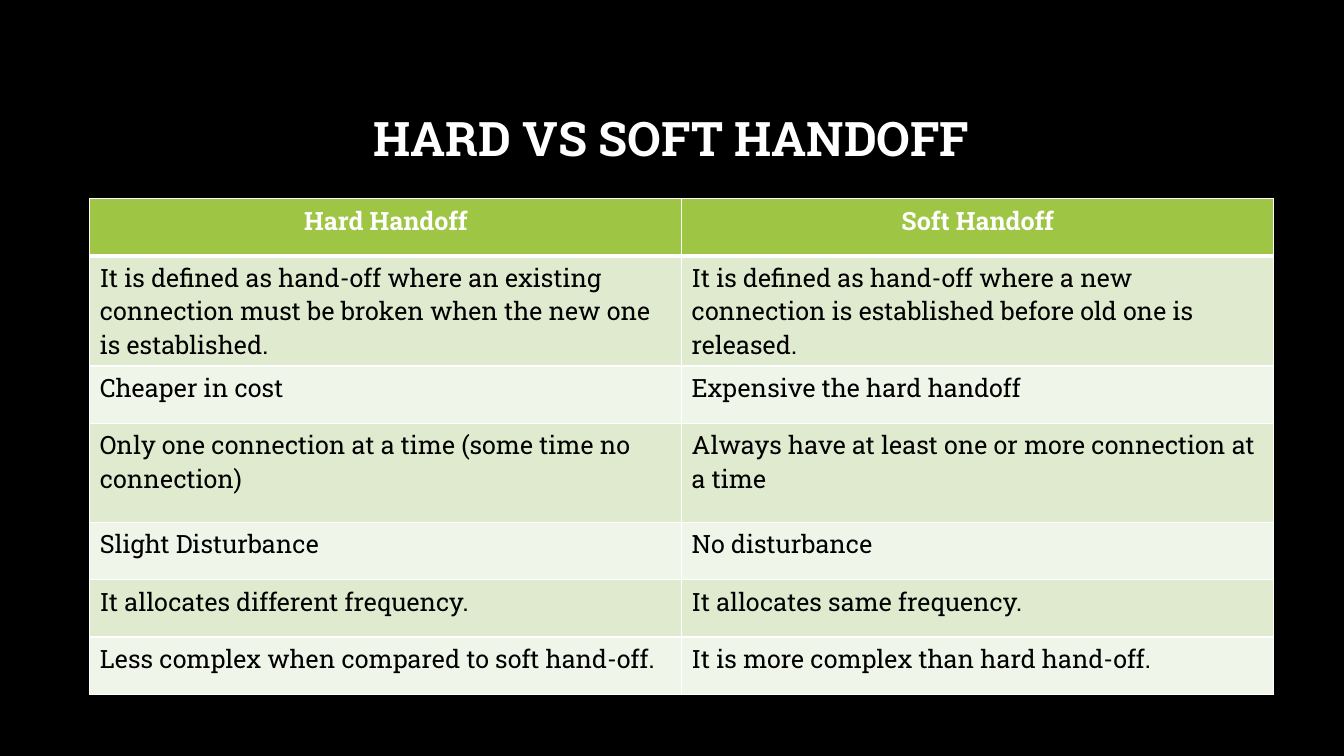
from lxml.etree import SubElement
from pptx import Presentation
from pptx.dml.color import RGBColor as RGB
from pptx.enum.text import MSO_ANCHOR as Anchor, PP_ALIGN as Align
from pptx.oxml.ns import qn
from pptx.util import Inches, Pt

TITLE = "HARD VS SOFT HANDOFF"
ROWS = [
    ("Hard Handoff", "Soft Handoff"),
    ("It is defined as hand-off where an existing connection must be broken "
     "when the new one is established.",
     "It is defined as hand-off where a new connection is established before "
     "old one is released."),
    ("Cheaper in cost", "Expensive the hard handoff"),
    ("Only one connection at a time (some time no connection)",
     "Always have at least one or more connection at a time"),
    ("Slight Disturbance", "No disturbance"),
    ("It allocates different frequency.", "It allocates same frequency."),
    ("Less complex when compared to soft hand-off.",
     "It is more complex than hard hand-off."),
]
FONT = "Roboto Slab"
COLORS = {"back": "000000", "white": "FFFFFF", "text": "000000",
          "head": "9EC544", "odd": "DFEACF", "even": "F0F5E9"}
ROW_H = 0.57
TALL = {1: 1.01, 3: 0.98}
COL_W = 5.87


def color(name):
    return RGB.from_string(COLORS[name])


def write(frame, text, size, ink, bold, align):
    par = frame.paragraphs[0]
    par.alignment = align
    run = par.add_run()
    run.text = text
    font = run.font
    font.name, font.size, font.bold = FONT, Pt(size), bold
    font.color.rgb = color(ink)
    return par


def border(cell, row):
    """Draw white cell edges, with a thick rule under the header row."""
    props = cell._tc.get_or_add_tcPr()
    thick = {(0, "lnB"), (1, "lnT")}
    for side in ("lnL", "lnR", "lnT", "lnB"):
        width = 3 if (row, side) in thick else 1
        line = SubElement(props, qn("a:" + side), w=str(Pt(width)))
        fill = SubElement(line, qn("a:solidFill"))
        SubElement(fill, qn("a:srgbClr"), val=COLORS["white"])


def add_title(slide):
    title = slide.shapes.title
    title.left, title.top = Inches(1), Inches(0.67)
    title.width, title.height = Inches(11.32), Inches(1.45)
    frame = title.text_frame
    frame.vertical_anchor = Anchor.MIDDLE
    par = write(frame, TITLE, 34, "white", True, Align.CENTER)
    par.line_spacing = 0.9


def add_grid(slide):
    sizes = [TALL.get(i, ROW_H) for i in range(len(ROWS))]
    grid = slide.shapes.add_table(
        len(ROWS), 2, Inches(0.89), Inches(1.97),
        Inches(2 * COL_W), Inches(sum(sizes))).table
    for col in grid.columns:
        col.width = Inches(COL_W)
    for i, texts in enumerate(ROWS):
        grid.rows[i].height = Inches(sizes[i])
        head = i == 0
        shade = "head" if head else "odd" if i % 2 else "even"
        ink = "white" if head else "text"
        align = Align.CENTER if head else Align.LEFT
        for j, text in enumerate(texts):
            cell = grid.cell(i, j)
            border(cell, i)
            cell.fill.solid()
            cell.fill.fore_color.rgb = color(shade)
            write(cell.text_frame, text, 18, ink, head, align)


def main():
    deck = Presentation()
    deck.slide_width, deck.slide_height = Inches(13.33), Inches(7.5)
    slide = deck.slides.add_slide(deck.slide_layouts[5])
    back = slide.background.fill
    back.solid()
    back.fore_color.rgb = color("back")
    add_title(slide)
    add_grid(slide)
    deck.save("out.pptx")


if __name__ == "__main__":
    main()
